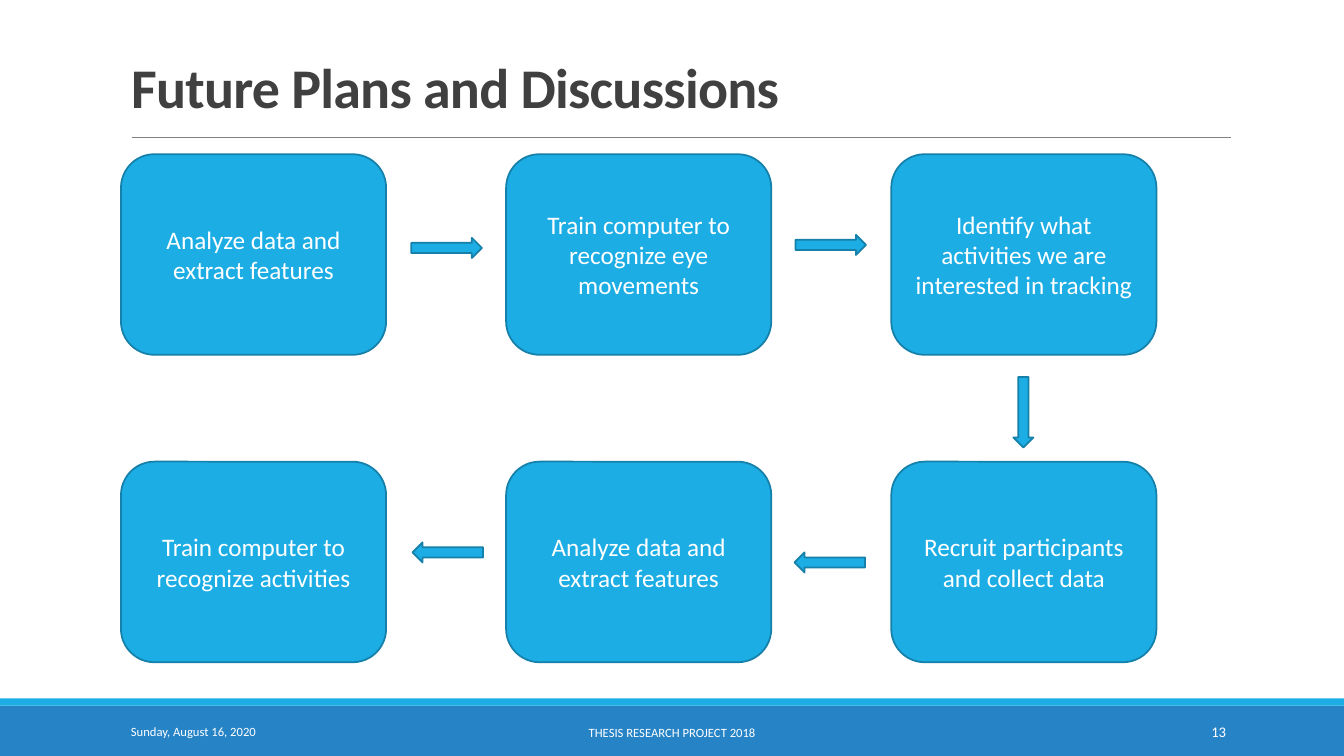
"""Build the slide of future plans as a six-step process."""
from dataclasses import dataclass

from lxml import etree
from pptx import Presentation
from pptx.dml.color import RGBColor
from pptx.enum.shapes import MSO_CONNECTOR, MSO_SHAPE
from pptx.enum.text import MSO_ANCHOR, MSO_AUTO_SIZE, PP_ALIGN
from pptx.oxml.ns import qn
from pptx.util import Inches, Pt

RECTANGLE = MSO_SHAPE.RECTANGLE
ROUNDED = MSO_SHAPE.ROUNDED_RECTANGLE
ARROW = MSO_SHAPE.RIGHT_ARROW
STRAIGHT = MSO_CONNECTOR.STRAIGHT
MIDDLE, BOTTOM = MSO_ANCHOR.MIDDLE, MSO_ANCHOR.BOTTOM
LEFT, CENTER, RIGHT = PP_ALIGN.LEFT, PP_ALIGN.CENTER, PP_ALIGN.RIGHT
NO_AUTOFIT = MSO_AUTO_SIZE.NONE

FONT = "Calibri"
WHITE, DARK, GRAY = "FFFFFF", "404040", "808080"
CYAN, CYAN_EDGE, BLUE = "1CADE4", "1580A9", "2683C6"
WIDTH, HEIGHT = 13.33, 7.5
GRID_LEFT, GRID_TOP = 1.2, 1.53
COLUMN_STEP, ROW_STEP = 3.82, 3.05
STEP_WIDTH, STEP_HEIGHT = 2.63, 1.99
ARROW_LENGTH, ARROW_THICKNESS = 0.7, 0.2


@dataclass(frozen=True)
class Step:
    text: str
    column: int
    row: int


@dataclass(frozen=True)
class Arrow:
    left: float
    top: float
    rotation: float = 0


@dataclass(frozen=True)
class FooterItem:
    text: str
    left: float
    top: float
    width: float
    size: float
    align: PP_ALIGN


STEPS = [
    Step("Analyze data and extract features", 0, 0),
    Step("Train computer to recognize eye movements", 1, 0),
    Step("Identify what activities we are interested in tracking", 2, 0),
    Step("Recruit participants and collect data", 2, 1),
    Step("Train computer to recognize activities", 0, 1),
    Step("Analyze data and extract features", 1, 1),
]
ARROWS = [
    Arrow(4.08, 2.36),
    Arrow(7.89, 2.33),
    Arrow(9.8, 3.99, 90),
    Arrow(7.88, 5.48, 180),
    Arrow(4.09, 5.38, 180),
]
FOOTER = [
    FooterItem("Sunday, August 16, 2020", 1.2, 7.06, 2.7, 9, LEFT),
    FooterItem("13", 10.83, 7.06, 1.43, 10.5, RIGHT),
    FooterItem("THESIS RESEARCH PROJECT 2018", 0, 7.07, WIDTH, 9, CENTER),
]


def color(value: str) -> RGBColor:
    return RGBColor.from_string(value)


def box(left: float, top: float, width: float, height: float) -> tuple:
    return Inches(left), Inches(top), Inches(width), Inches(height)


def write(shape, text: str, *, size: float, align=CENTER, anchor=MIDDLE,
          fill: str = WHITE, bold: bool = False, line_spacing: float = 1,
          tracking: float = 0) -> None:
    frame = shape.text_frame
    frame.word_wrap = True
    frame.auto_size = NO_AUTOFIT
    frame.vertical_anchor = anchor
    paragraph = frame.paragraphs[0]
    paragraph.alignment = align
    paragraph.line_spacing = line_spacing
    run = paragraph.add_run()
    run.text = text
    font = run.font
    font.name, font.size, font.bold = FONT, Pt(size), bold
    font.color.rgb = color(fill)
    if tracking:
        run._r.get_or_add_rPr().set("spc", str(round(tracking * 100)))


def add_block(slide, kind, place: tuple, fill: str, edge: str = ""):
    shape = slide.shapes.add_shape(kind, *place)
    shape.shadow.inherit = False
    shape.fill.solid()
    shape.fill.fore_color.rgb = color(fill)
    if edge:
        shape.line.color.rgb = color(edge)
        shape.line.width = Pt(1.25)
    else:
        shape.line.fill.background()
    return shape


def add_frame(slide) -> None:
    add_block(slide, RECTANGLE, box(0, 7, WIDTH, 0.5), BLUE)
    add_block(slide, RECTANGLE, box(0, 6.93, WIDTH, 0.07), CYAN)
    rule = slide.shapes.add_connector(
        STRAIGHT, Inches(1.31), Inches(1.36), Inches(12.21), Inches(1.36))
    rule.line.color.rgb = color(GRAY)
    rule.line.width = Pt(0.5)
    etree.SubElement(rule._element.spPr, qn("a:effectLst"))
    for item in FOOTER:
        place = box(item.left, item.top, item.width, 0.4)
        write(slide.shapes.add_textbox(*place), item.text,
              size=item.size, align=item.align)


def add_title(slide, text: str) -> None:
    title = slide.shapes.title
    title.left, title.top, title.width, title.height = box(1.2, 0.31, 11, 0.93)
    write(title, text, size=40, align=LEFT, anchor=BOTTOM, fill=DARK,
          bold=True, line_spacing=0.85, tracking=-0.5)


def add_step(slide, step: Step) -> None:
    place = box(GRID_LEFT + step.column * COLUMN_STEP,
                GRID_TOP + step.row * ROW_STEP, STEP_WIDTH, STEP_HEIGHT)
    write(add_block(slide, ROUNDED, place, CYAN, CYAN_EDGE), step.text, size=18)


def add_arrow(slide, arrow: Arrow) -> None:
    place = box(arrow.left, arrow.top, ARROW_LENGTH, ARROW_THICKNESS)
    add_block(slide, ARROW, place, CYAN, CYAN_EDGE).rotation = arrow.rotation


def main() -> None:
    presentation = Presentation()
    presentation.slide_width = Inches(WIDTH)
    presentation.slide_height = Inches(HEIGHT)
    slide = presentation.slides.add_slide(presentation.slide_layouts[5])
    slide.background.fill.solid()
    slide.background.fill.fore_color.rgb = color(WHITE)
    add_frame(slide)
    add_title(slide, "Future Plans and Discussions")
    for step in STEPS:
        add_step(slide, step)
    for arrow in ARROWS:
        add_arrow(slide, arrow)
    presentation.save("out.pptx")


if __name__ == "__main__":
    main()
